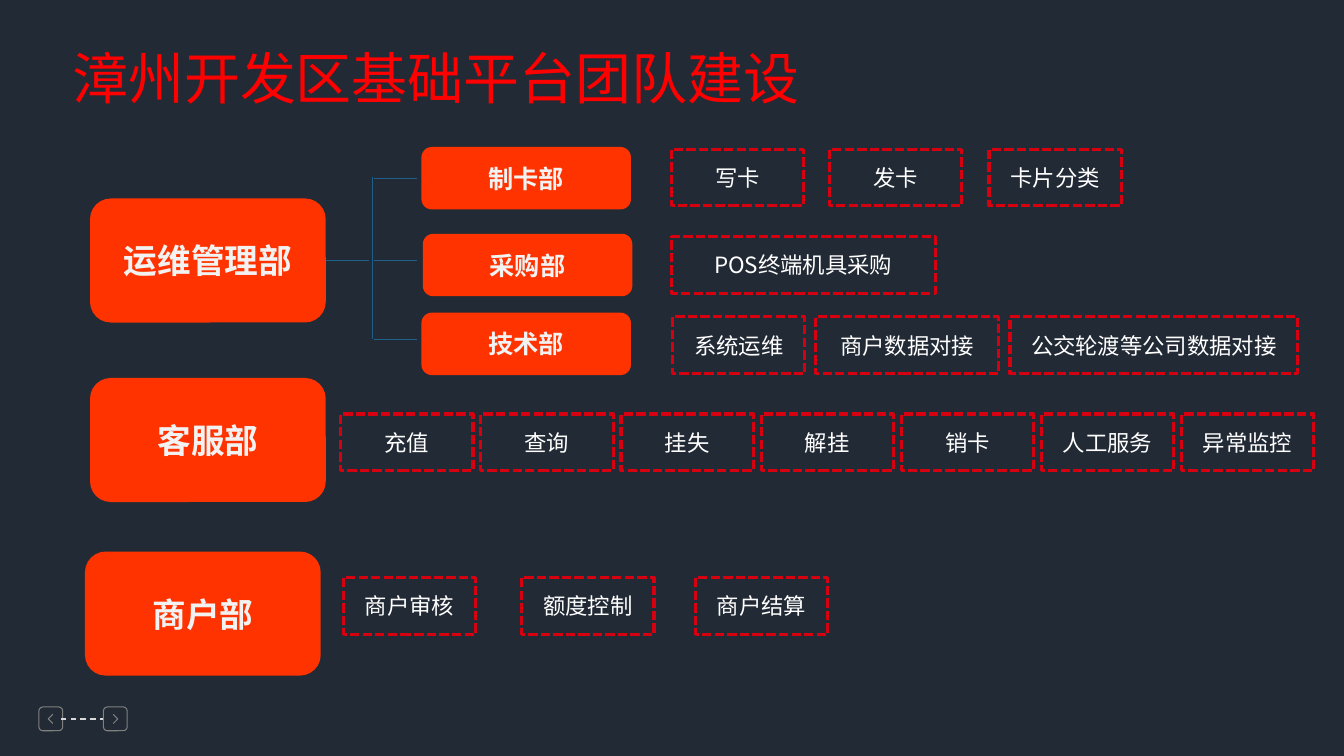
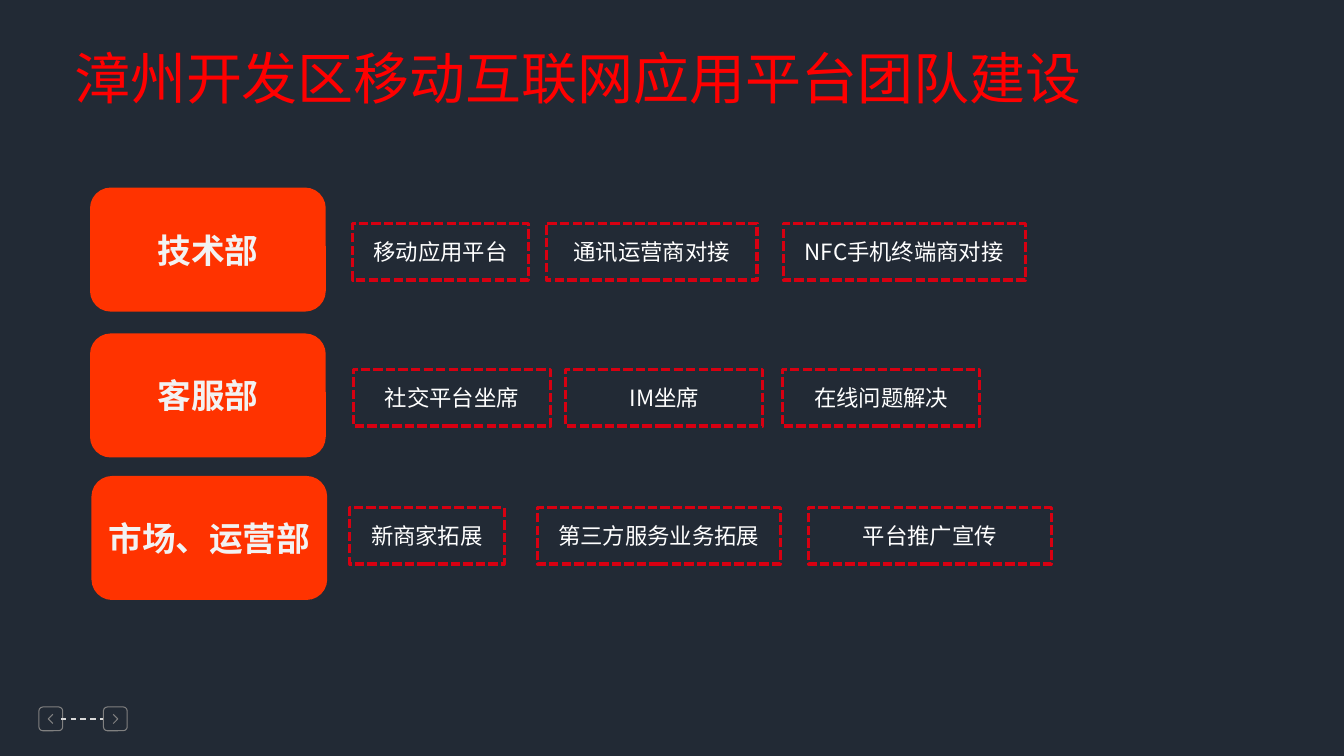
"""Build two slides on the team structure of the city platforms."""
from lxml.etree import SubElement
from pptx import Presentation
from pptx.dml.color import RGBColor
from pptx.enum.dml import MSO_LINE as Dash
from pptx.enum.shapes import MSO_CONNECTOR as Wire, MSO_SHAPE as Kind
from pptx.enum.text import MSO_ANCHOR as Anchor, PP_ALIGN as Align
from pptx.oxml.ns import qn
from pptx.util import Pt

NIGHT = RGBColor(0x22, 0x2A, 0x35)
RED = RGBColor(0xFF, 0x00, 0x00)
FLAME = RGBColor(0xFF, 0x33, 0x00)
EDGE = RGBColor(0xD7, 0x00, 0x11)
BLUE = RGBColor(0x1F, 0x60, 0x8B)
GRAY = RGBColor(0x80, 0x80, 0x80)
SILVER = RGBColor(0xD9, 0xD9, 0xD9)
PALE = RGBColor(0xF2, 0xF2, 0xF2)
WHITE = RGBColor(0xFF, 0xFF, 0xFF)
FONT = "Noto Sans CJK SC"

DEPT = dict(kind=Kind.ROUNDED_RECTANGLE, fill=FLAME, color=PALE, bold=True)
TASK = dict(kind=Kind.RECTANGLE, edge=EDGE, color=WHITE, size=16)


def put(text, *, at, kind=None, fill=None, edge=None, color=WHITE, size=24, bold=False):
    area = [Pt(n) for n in at]
    if kind is None:
        shape = slide.shapes.add_textbox(*area)
    else:
        shape = slide.shapes.add_shape(kind, *area)
        shape.shadow.inherit = False
        if fill is None:
            shape.fill.background()
        else:
            shape.fill.solid()
            shape.fill.fore_color.rgb = fill
        if edge is None:
            shape.line.fill.background()
        else:
            shape.line.color.rgb = edge
            shape.line.width = Pt(2.25)
            shape.line.dash_style = Dash.SQUARE_DOT
    frame = shape.text_frame
    frame.word_wrap = kind is not None
    frame.vertical_anchor = Anchor.TOP if kind is None else Anchor.MIDDLE
    para = frame.paragraphs[0]
    para.alignment = Align.CENTER
    run = para.add_run()
    run.text = text
    font = run.font
    font.name, font.size, font.bold = FONT, Pt(size), bold
    font.color.rgb = color
    SubElement(run._r.get_or_add_rPr(), qn("a:ea")).set("typeface", FONT)
    return shape


def join(x1, y1, x2, y2, color, width):
    wire = slide.shapes.add_connector(Wire.STRAIGHT, Pt(x1), Pt(y1), Pt(x2), Pt(y2))
    wire.line.color.rgb = color
    wire.line.width = Pt(width)
    SubElement(wire._element.spPr, qn("a:effectLst"))
    return wire


deck = Presentation()
deck.slide_width, deck.slide_height = Pt(960), Pt(540)
back = deck.slide_master.background.fill
back.solid()
back.fore_color.rgb = NIGHT

calls = ["充值", "查询", "挂失", "解挂", "销卡", "人工服务", "异常监控"]
pages = [
    ("漳州开发区基础平台团队建设", 539,
     [("运维管理部", 64.3, 141.8), ("客服部", 64.3, 270), ("商户部", 60.7, 394)],
     [(106.5, [("写卡", 479.5, 94.5), ("发卡", 592.5, 94.5), ("卡片分类", 706.5, 94.5)]),
      (169, [("POS终端机具采购", 479.5, 188.6)]),
      (226.3, [("系统运维", 480.5, 94.5), ("商户数据对接", 582.5, 131),
               ("公交轮渡等公司数据对接", 721.5, 205.5)]),
      (295.7, [(name, 243.4 + 100.1 * i, 94.5) for i, name in enumerate(calls)]),
      (412.5, [("商户审核", 245.3, 94.5), ("额度控制", 372.7, 94.5), ("商户结算", 496.8, 94.5)])]),
    ("漳州开发区移动互联网应用平台团队建设", 741.6,
     [("技术部", 64.3, 134), ("客服部", 64.3, 238.2), ("市场、运营部", 65.3, 340)],
     [(159.5, [("移动应用平台", 252, 125.5), ("通讯运营商对接", 390.3, 150.5),
               ("NFC手机终端商对接", 559.4, 173)]),
      (263.8, [("社交平台坐席", 252.3, 141), ("IM坐席", 404, 141), ("在线问题解决", 558.9, 141)]),
      (362.4, [("新商家拓展", 249.8, 110.3), ("第三方服务业务拓展", 383.8, 173.5),
               ("平台推广宣传", 577.4, 173.5)])]),
]

blank = deck.slide_layouts[6]
heads = []
for title, wide, depts, rows in pages:
    slide = deck.slides.add_slide(blank)
    for left, turn in ((27.8, -1), (73.9, 1)):
        frame = slide.shapes.add_shape(Kind.ROUNDED_RECTANGLE, Pt(left), Pt(505), Pt(17), Pt(17))
        mid = left + 8.5
        pen = slide.shapes.build_freeform(Pt(mid - 1.5 * turn), Pt(510.2))
        pen.add_line_segments([(Pt(mid + 1.8 * turn), Pt(513.5)),
                               (Pt(mid - 1.5 * turn), Pt(516.8))], close=False)
        for part in (frame, pen.convert_to_shape()):
            part.shadow.inherit = False
            part.fill.background()
            part.line.color.rgb = GRAY
            part.line.width = Pt(0.75)
    join(43.5, 513.5, 73.5, 513.5, SILVER, 1).line.dash_style = Dash.DASH

    put(title, at=(41.8, 27.4, wide, 55.7), color=RED, size=40)
    heads.append([put(name, at=(x, y, 168.4, 88.6), **DEPT) for name, x, y in depts])
    for top, tasks in rows:
        for name, left, width in tasks:
            put(name, at=(left, top, width, 40.5), **TASK)

slide = deck.slides[0]
for name, left, top in (("制卡部", 301, 105), ("采购部", 302, 167), ("技术部", 301, 223.3)):
    put(name, at=(left, top, 149.7, 44.6), size=18, **DEPT)
join(232.7, 186.1, 263.7, 186.1, BLUE, 0.5).begin_connect(heads[0][0], 3)
join(266, 126.5, 266, 242.5, BLUE, 0.5)
for y in (127.4, 186.1, 242.2):
    join(267, y, 298, y, BLUE, 0.5)

deck.save("out.pptx")
